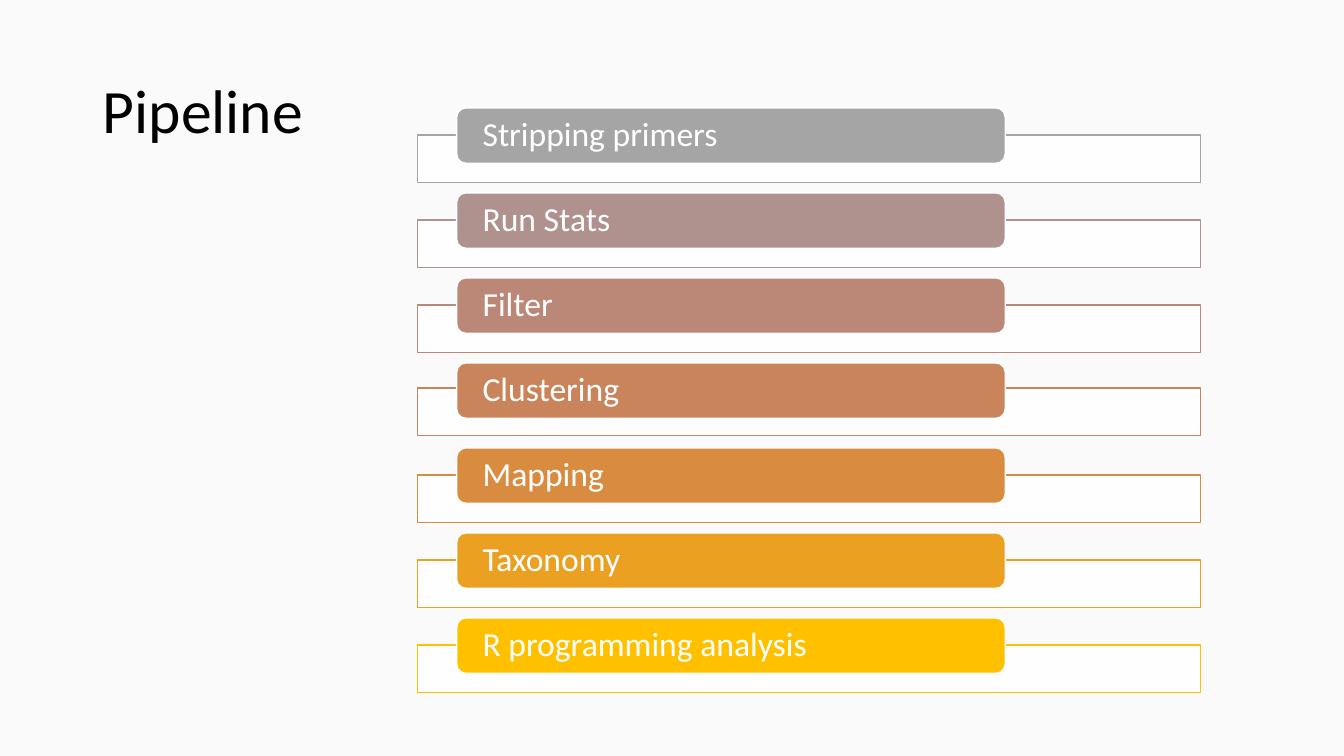
from dataclasses import dataclass

from lxml import etree
from pptx import Presentation
from pptx.dml.color import RGBColor
from pptx.enum.shapes import MSO_SHAPE
from pptx.enum.text import MSO_ANCHOR, MSO_AUTO_SIZE, PP_ALIGN
from pptx.oxml.ns import qn
from pptx.util import Inches, Pt

RECT = MSO_SHAPE.RECTANGLE
ROUND = MSO_SHAPE.ROUNDED_RECTANGLE
MIDDLE = MSO_ANCHOR.MIDDLE
LEFT = PP_ALIGN.LEFT
NO_FIT = MSO_AUTO_SIZE.NONE


@dataclass(frozen=True)
class Theme:
    font: str = "Calibri"
    back: str = "FAFAFA"
    ink: str = "000000"
    white: str = "FFFFFF"
    title: int = 44
    label: int = 24
    line: int = 1


@dataclass(frozen=True)
class Step:
    name: str
    color: str
    lift: float = 0  # how far the frame sits above its even place


THEME = Theme()
STEPS = [
    Step("Stripping primers", "A5A5A5"),
    Step("Run Stats", "AF918D"),
    Step("Filter", "BB8776"),
    Step("Clustering", "C9845C", 0.02),
    Step("Mapping", "D98B3F"),
    Step("Taxonomy", "EBA021"),
    Step("R programming analysis", "FFC000"),
]
FIRST, LAST = 1.07, 6.13
PITCH = (LAST - FIRST) / (len(STEPS) - 1)


def add_box(slide, kind, left: float, top: float, width: float,
            height: float, fill: str, line: str):
    box = slide.shapes.add_shape(kind, Inches(left), Inches(top),
                                 Inches(width), Inches(height))
    box.shadow.inherit = False
    box.fill.solid()
    box.fill.fore_color.rgb = RGBColor.from_string(fill)
    box.line.color.rgb = RGBColor.from_string(line)
    box.line.width = Pt(THEME.line)
    return box


def set_text(shape, text: str, size: int, color: str) -> None:
    frame = shape.text_frame
    frame.text = text
    frame.word_wrap = True
    frame.auto_size = NO_FIT
    frame.vertical_anchor = MIDDLE
    line = frame.paragraphs[0]
    line.alignment = LEFT
    line.line_spacing = 0.9
    font = line.runs[0].font
    font.name = THEME.font
    font.size = Pt(size)
    font.color.rgb = RGBColor.from_string(color)


def add_step(slide, step: Step, top: float) -> None:
    # Frame behind, nearly opaque
    frame = add_box(slide, RECT, 4.14, top + 0.27 - step.lift, 7.77, 0.47,
                    THEME.white, step.color)
    tint = frame.fill._xPr.find(qn("a:solidFill"))[0]
    etree.SubElement(tint, qn("a:alpha")).set("val", "90000")

    # Label in front
    label = add_box(slide, ROUND, 4.53, top, 5.44, 0.55,
                    step.color, THEME.white)
    set_text(label, step.name, THEME.label, THEME.white)
    text = label.text_frame
    text.margin_left = text.margin_right = Inches(0.23)
    text.margin_top = text.margin_bottom = 0


def main() -> None:
    deck = Presentation()
    deck.slide_width, deck.slide_height = Inches(13.33), Inches(7.5)
    slide = deck.slides.add_slide(deck.slide_layouts[5])
    slide.background.fill.solid()
    slide.background.fill.fore_color.rgb = RGBColor.from_string(THEME.back)

    # Title
    title = slide.shapes.title
    title.left, title.top = Inches(0.92), Inches(0.4)
    title.width, title.height = Inches(11.5), Inches(1.45)
    set_text(title, "Pipeline", THEME.title, THEME.ink)

    # Steps
    for i, step in enumerate(STEPS):
        add_step(slide, step, FIRST + i * PITCH)

    deck.save("out.pptx")


if __name__ == "__main__":
    main()
